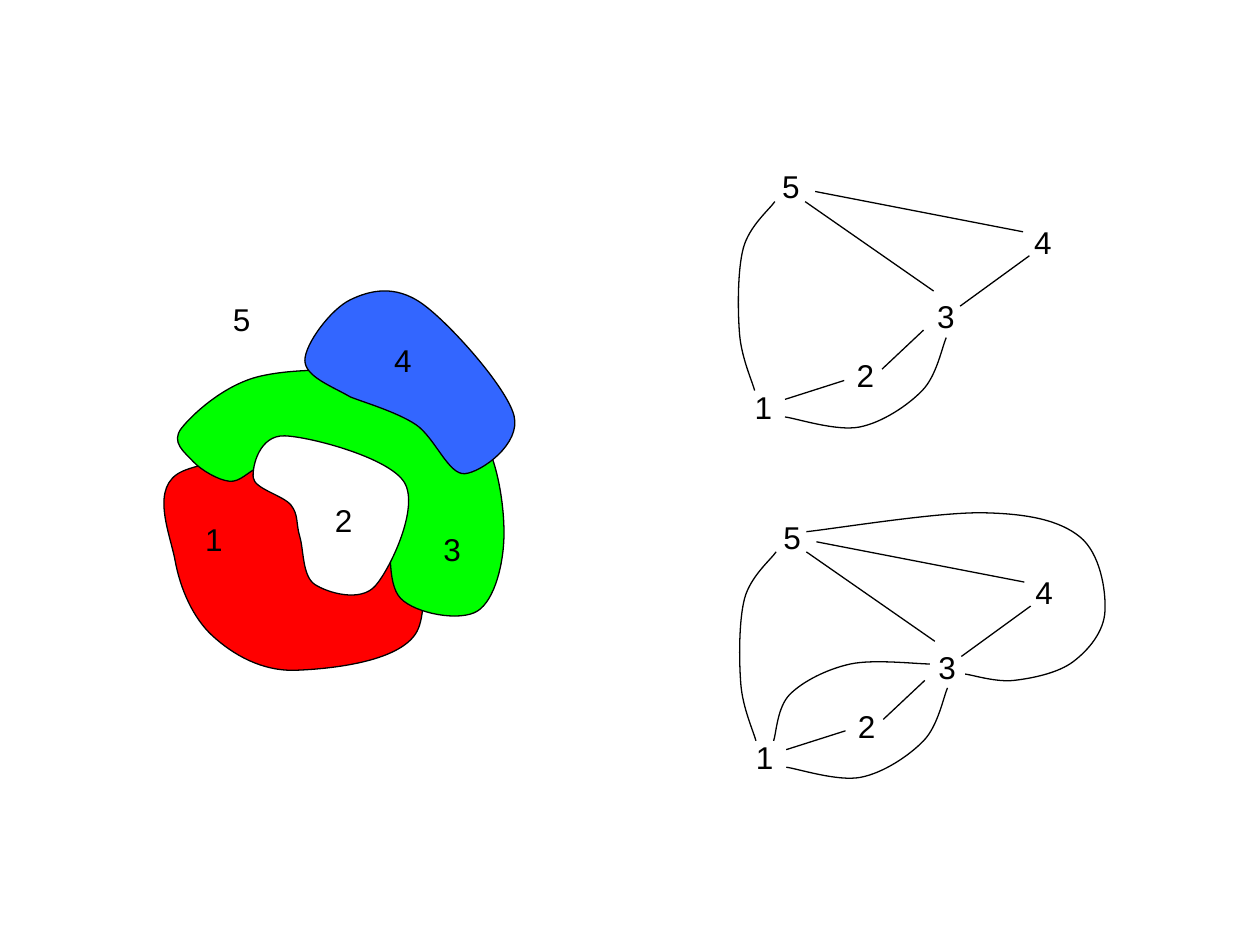
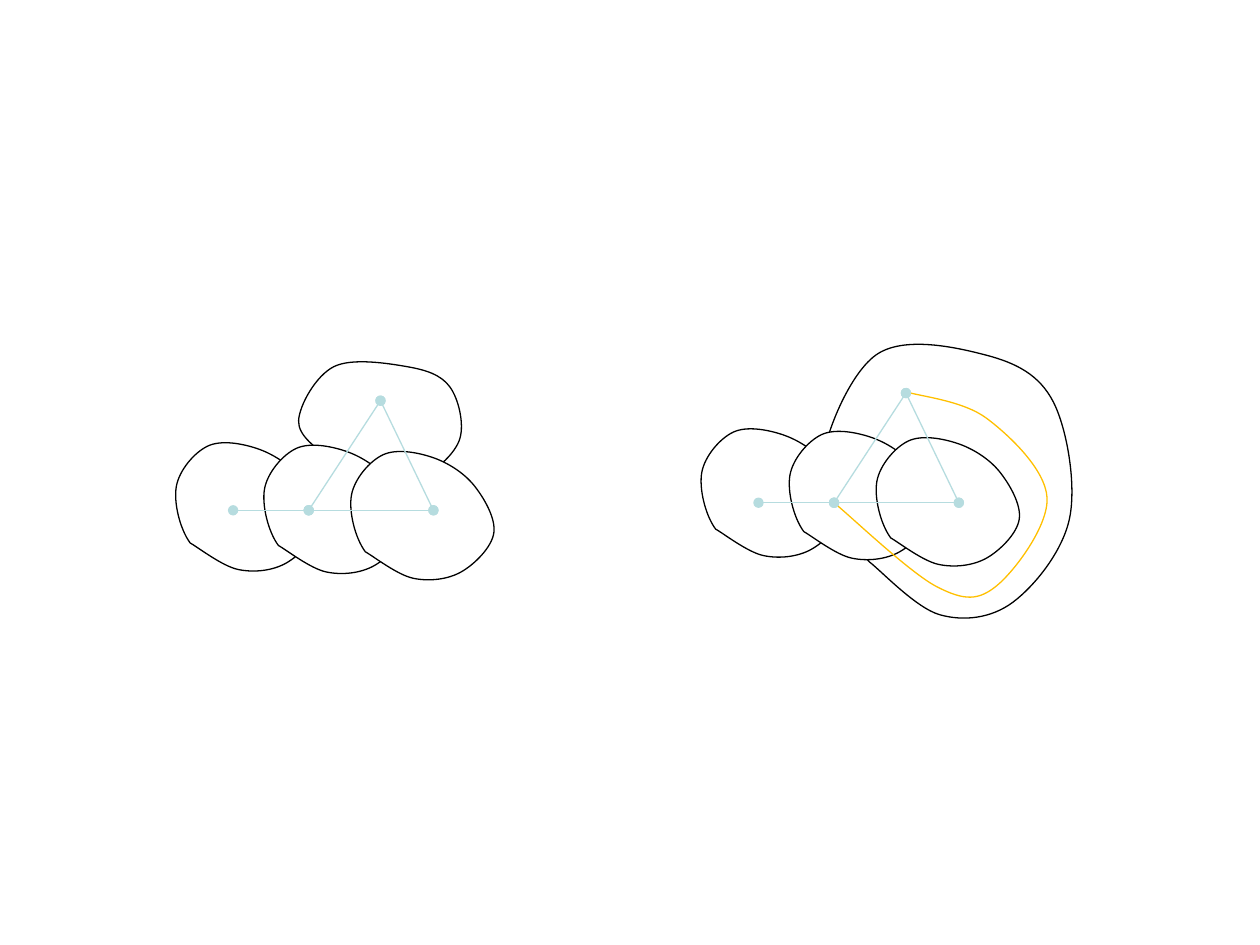
import dataclasses

import lxml.etree
import pptx
import pptx.dml.color
import pptx.enum.shapes
import pptx.enum.text
import pptx.oxml.ns
import pptx.util


@dataclasses.dataclass(frozen=True)
class Theme:
    """Colours and sizes shared by both slides."""
    ink: str = "000000"
    paper: str = "FFFFFF"
    red: str = "FF0000"
    green: str = "00FF00"
    blue: str = "3366FF"
    edge: str = "B6DCDF"
    detour: str = "FFC000"
    font: str = "Arial"
    label_pt: float = 18
    line_pt: float = 0.75


@dataclasses.dataclass(frozen=True)
class Region:
    """A closed smooth outline through anchors, with an optional corner at the first."""
    anchors: tuple
    fill: str = Theme.paper
    corner: bool = False


COLUMNS, ROWS = 10, 7.5
LABEL_BOX = (0.34, 0.4)
HANDLE_SHARE = 1 / 6

MAP_REGIONS = {
    1: Region(((1.39, 4.45), (1.45, 3.74), (3, 3.74), (3.32, 4.99), (2.35, 5.32),
               (1.69, 5.05)), Theme.red),
    3: Region(((1.53, 3.66), (1.44, 3.4), (2.05, 2.99), (3.08, 2.99), (3.79, 3.4),
               (4, 4.23), (3.79, 4.85), (3.18, 4.75), (3.08, 4.12), (2.98, 3.75),
               (2.69, 3.62), (2.33, 3.6), (2.05, 3.71), (1.82, 3.82)), Theme.green),
    2: Region(((2.38, 4.26), (2.31, 4.01), (2.01, 3.79), (2.26, 3.46), (3.21, 3.83),
               (2.98, 4.65), (2.5, 4.64))),
    4: Region(((2.78, 3.15), (2.42, 2.86), (2.78, 2.38), (3.35, 2.41), (4.08, 3.3),
               (3.69, 3.76), (3.3, 3.37)), Theme.blue, corner=True),
}
MAP_LABELS = {1: (1.53, 4.08), 2: (2.56, 3.93), 3: (3.42, 4.16),
              4: (3.03, 2.66), 5: (1.75, 2.33)}

GRAPH_LABELS = {1: (5.89, 3.03), 2: (6.7, 2.78), 3: (7.34, 2.31),
                4: (8.11, 1.72), 5: (6.11, 1.28)}
STRAIGHT_LINKS = {
    (1, 2): ((6.23, 3.17), (6.7, 3.02)),
    (2, 3): ((7, 2.93), (7.33, 2.62)),
    (3, 4): ((7.62, 2.43), (8.17, 2.03)),
    (5, 3): ((6.39, 1.6), (7.41, 2.31)),
    (5, 4): ((6.47, 1.52), (8.12, 1.84)),
}
BENT_LINKS = {
    (1, 3): ((6.23, 3.31), (6.82, 3.39), (7.32, 3.1), (7.51, 2.68)),
    (5, 1): ((6.15, 1.6), (5.9, 1.97), (5.87, 2.65), (5.99, 3.1)),
}
DOUBLED_LINKS = {
    (1, 3): ((6.13, 3.1), (6.26, 2.73), (6.74, 2.49), (7.37, 2.49)),
    (5, 3): ((6.39, 1.44), (7.79, 1.29), (8.56, 1.48), (8.76, 2.07),
             (8.51, 2.47), (8.04, 2.62), (7.65, 2.57)),
}
LOWER_GRAPH = (0.01, 2.78)

BLOB = Region(((1.51, 4.31), (1.4, 3.86), (1.65, 3.54), (2.04, 3.56), (2.37, 3.78),
               (2.53, 4.16), (2.27, 4.47), (1.89, 4.52)), corner=True)
BLOB_STEPS = ((0, 0), (0.7, 0.02), (1.39, 0.07))
SMALL_BACK = Region(((2.62, 3.64), (2.37, 3.34), (2.65, 2.91), (3.23, 2.91),
                     (3.57, 3.07), (3.65, 3.48), (3.36, 3.78), (2.99, 3.82)),
                    corner=True)
LARGE_BACK = Region(((6.9, 4.46), (6.51, 3.78), (6.95, 2.82), (7.83, 2.82),
                     (8.36, 3.19), (8.49, 4.11), (8.04, 4.78), (7.46, 4.88)),
                    corner=True)
LEFT, MIDDLE, RIGHT, APEX = (1.85, 4.05), (2.45, 4.05), (3.44, 4.05), (3.02, 3.18)
CONTACTS = ((LEFT, MIDDLE), (MIDDLE, RIGHT), (APEX, RIGHT), (APEX, MIDDLE))
DETOUR = ((6.63, 4), (7.44, 4.66), (7.91, 4.65), (8.31, 3.95), (7.83, 3.32),
          (7.19, 3.11))
BLOB_SHIFT, CONTACT_SHIFT = (4.17, -0.11), (4.17, -0.06)


def rgb(value):
    """Turn a hex string into a colour."""
    return pptx.dml.color.RGBColor.from_string(value)


def moved(point, shift):
    """Move a grid point by a shift."""
    return tuple(a + b for a, b in zip(point, shift))


def place(point, shift=(0, 0)):
    """Turn a shifted grid point into slide lengths."""
    return [pptx.util.Inches(value) for value in moved(point, shift)]


def handle(anchor, start, end):
    """Offset an anchor by a share of the way from start to end."""
    return tuple(a + HANDLE_SHARE * (e - s) for a, s, e in zip(anchor, start, end))


def smooth(anchors, closed=False, corner=False):
    """List two handles and an anchor for each piece of a smooth curve."""
    if closed:
        ring = [anchors[-1], *anchors, anchors[0], anchors[0 if corner else 1]]
    else:
        ring = [anchors[0], *anchors, anchors[-1]]
    points = []
    for before, start, end, after in zip(ring, ring[1:], ring[2:], ring[3:]):
        points += [handle(start, before, end), handle(end, after, start), end]
    return points


def bend_segments(sp):
    """Turn each three straight segments of a freeform into one cubic curve."""
    qn = pptx.oxml.ns.qn
    segments = list(sp._element.iter(qn("a:lnTo")))
    for i in range(0, len(segments), 3):
        bezier = lxml.etree.Element(qn("a:cubicBezTo"))
        segments[i].addprevious(bezier)
        for segment in segments[i:i + 3]:
            bezier.append(segment[0])
            segment.getparent().remove(segment)


def style_line(line, color):
    """Give a line the common width and a colour."""
    line.width = pptx.util.Pt(THEME.line_pt)
    line.color.rgb = rgb(color)


def add_outline(slide, start, points, closed, color, shift):
    """Draw a curve from its start through handles and anchors."""
    builder = slide.shapes.build_freeform(*place(start, shift), scale=1.0)
    builder.add_line_segments([place(p, shift) for p in points], close=closed)
    sp = builder.convert_to_shape()
    bend_segments(sp)
    sp.shadow.inherit = False
    style_line(sp.line, color)
    return sp


def add_curve(slide, anchors, color=Theme.ink, shift=(0, 0)):
    """Draw an open smooth curve through anchors."""
    sp = add_outline(slide, anchors[0], smooth(anchors), False, color, shift)
    sp.fill.background()


def add_region(slide, region, shift=(0, 0)):
    """Draw a filled region."""
    points = smooth(region.anchors, closed=True, corner=region.corner)
    sp = add_outline(slide, region.anchors[0], points, True, THEME.ink, shift)
    sp.fill.solid()
    sp.fill.fore_color.rgb = rgb(region.fill)


def add_link(slide, begin, end, color=Theme.ink, shift=(0, 0), dots=False):
    """Draw a straight link, with round ends if dots is set."""
    kind = pptx.enum.shapes.MSO_CONNECTOR.STRAIGHT
    sp = slide.shapes.add_connector(kind, *place(begin, shift), *place(end, shift))
    style_line(sp.line, color)
    qn = pptx.oxml.ns.qn
    lxml.etree.SubElement(sp._element.spPr, qn("a:effectLst"))
    if dots:
        for tag in ("a:headEnd", "a:tailEnd"):
            lxml.etree.SubElement(sp.line._get_or_add_ln(), qn(tag), type="oval")


def add_labels(slide, labels, shift=(0, 0)):
    """Write each number at its position."""
    for number, position in labels.items():
        sp = slide.shapes.add_textbox(*place(position, shift), *place(LABEL_BOX))
        tf = sp.text_frame
        tf.word_wrap = False
        tf.auto_size = pptx.enum.text.MSO_AUTO_SIZE.SHAPE_TO_FIT_TEXT
        r = tf.paragraphs[0].add_run()
        r.text = str(number)
        r.font.name = THEME.font
        r.font.size = pptx.util.Pt(THEME.label_pt)
        r.font.color.rgb = rgb(THEME.ink)


def add_graph(slide, bent_link_sets, shift=(0, 0)):
    """Draw the neighbour graph of the map with the given bent links."""
    add_labels(slide, GRAPH_LABELS, shift)
    for begin, end in STRAIGHT_LINKS.values():
        add_link(slide, begin, end, shift=shift)
    for links in bent_link_sets:
        for anchors in links.values():
            add_curve(slide, anchors, shift=shift)


def add_overlap(slide, back, blob_shift=(0, 0), contact_shift=(0, 0), detour=None):
    """Draw overlapping blobs with the graph of their contacts."""
    add_region(slide, back)
    for step in BLOB_STEPS:
        add_region(slide, BLOB, moved(step, blob_shift))
    if detour:
        add_curve(slide, detour, THEME.detour)
    for begin, end in CONTACTS:
        add_link(slide, begin, end, THEME.edge, contact_shift, dots=True)


def add_map_slide(slide):
    """Show the coloured map beside its simple and doubled graphs."""
    for region in MAP_REGIONS.values():
        add_region(slide, region)
    add_labels(slide, MAP_LABELS)
    add_graph(slide, [BENT_LINKS])
    add_graph(slide, [BENT_LINKS, DOUBLED_LINKS], LOWER_GRAPH)


def add_overlap_slide(slide):
    """Show the blobs with a single and with a double contact."""
    add_overlap(slide, SMALL_BACK)
    add_overlap(slide, LARGE_BACK, BLOB_SHIFT, CONTACT_SHIFT, DETOUR)


def main():
    """Build and save both slides."""
    prs = pptx.Presentation()
    prs.slide_width, prs.slide_height = place((COLUMNS, ROWS))
    for fill_slide in (add_map_slide, add_overlap_slide):
        fill_slide(prs.slides.add_slide(prs.slide_layouts[6]))
    prs.save("out.pptx")


THEME = Theme()

if __name__ == "__main__":
    main()
